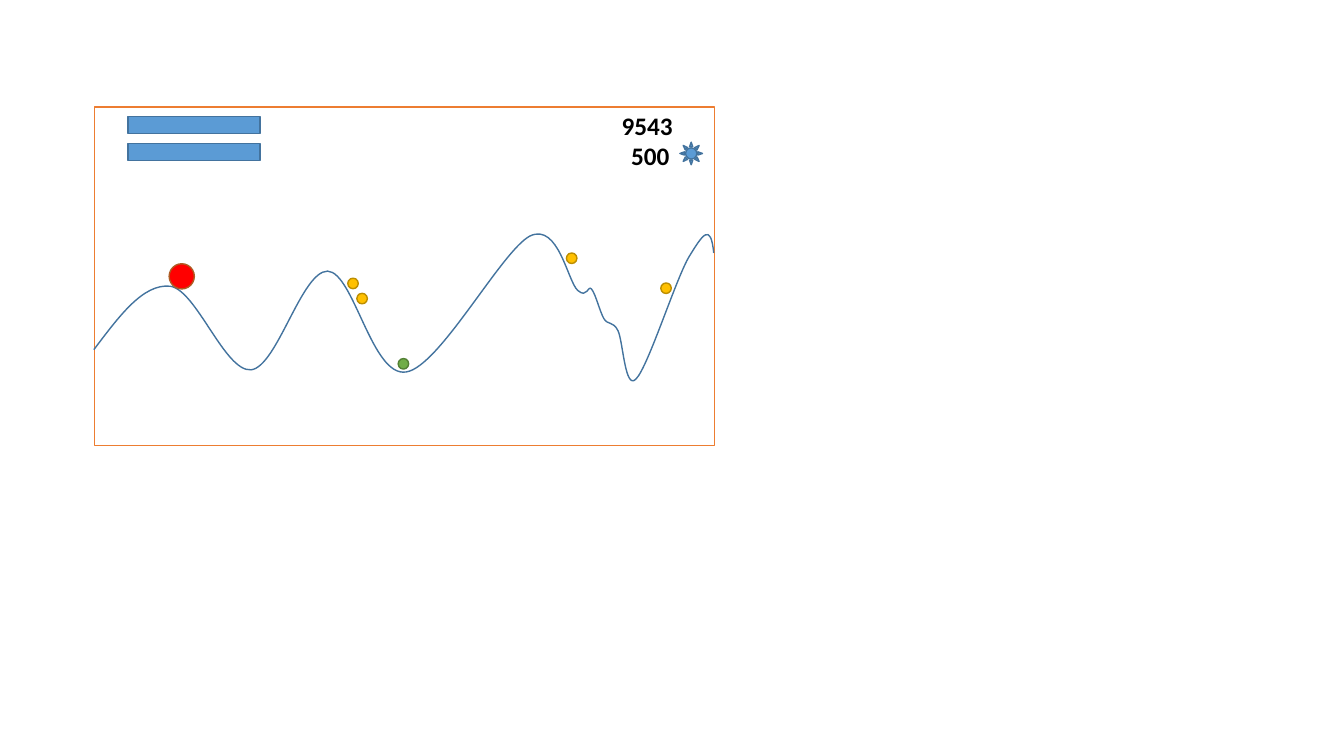
from lxml.etree import SubElement
from pptx import Presentation
from pptx.dml.color import RGBColor
from pptx.enum.shapes import MSO_SHAPE as Preset
from pptx.enum.text import MSO_AUTO_SIZE as AutoSize, PP_ALIGN as Align
from pptx.oxml.ns import qn
from pptx.util import Pt

COLORS = {
    "white": "FFFFFF", "black": "000000", "frame": "ED7D31",
    "blue": "5B9BD5", "blue line": "43739E",
    "red": "FF0000", "red line": "AF5C24",
    "gold": "FFC000", "gold line": "BD8E00",
    "green": "70AD47", "green line": "538035",
}
TRACK_START = (67, 249.8)
TRACK_CURVES = [
    ((85, 226.1), (102.2, 202.3), (121.7, 204.5)),
    ((140.4, 207.4), (160.6, 265.7), (179.3, 264.2)),
    ((198, 262.1), (215.3, 193.7), (234, 193.7)),
    ((252.7, 194.4), (265.7, 270), (290.2, 265.7)),
    ((313.9, 262.1), (358.6, 178.6), (378.7, 168.5)),
    ((398.9, 159.1), (405.4, 200.9), (412.6, 207.4)),
    ((419.8, 213.8), (419.8, 203), (422.6, 206.6)),
    ((425.5, 210.2), (428.4, 222.5), (431.3, 227.5)),
    ((434.2, 232.6), (437.8, 229), (441.4, 236.2)),
    ((445, 243.4), (446.4, 279.4), (454.3, 270.7)),
    ((463, 262.1), (483.1, 198), (492.5, 182.9)),
    ((501.8, 167.8), (507.6, 158.4), (509.8, 180.7)),
]
SCORES = [("500", 306.7, 96.5), ("9543", 308.9, 75.2)]
TOKENS = [
    ("gold", 248.4, 198.7), ("gold", 254.9, 209.5), ("green", 284.4, 256.1),
    ("gold", 404.6, 180.7), ("gold", 472, 202.1),
]


class GameScreen:
    """Draws the elements of the game screen on one slide."""

    def __init__(self, slide, font="Calibri", line_width=1):
        self.slide = slide
        self.font = font
        self.line_width = line_width

    def style(self, shape, fill, line):
        """Set the fill and outline of a shape and drop its shadow."""
        shape.shadow.inherit = False
        if fill:
            shape.fill.solid()
            shape.fill.fore_color.rgb = RGBColor.from_string(COLORS[fill])
        else:
            shape.fill.background()
        shape.line.color.rgb = RGBColor.from_string(COLORS[line])
        shape.line.width = Pt(self.line_width)

    def shape(self, preset, left, top, width, height, fill, line):
        """Add a preset shape."""
        shape = self.slide.shapes.add_shape(
            preset, Pt(left), Pt(top), Pt(width), Pt(height))
        self.style(shape, fill, line)

    def curve(self, start, curves, line):
        """Add an open, unfilled chain of cubic Bezier curves."""
        ends = [(Pt(x), Pt(y)) for x, y in (corners[-1] for corners in curves)]
        builder = self.slide.shapes.build_freeform(Pt(start[0]), Pt(start[1]))
        builder.add_line_segments(ends, close=False)
        shape = builder.convert_to_shape()
        segments = list(shape.element.iter(qn("a:lnTo")))
        for segment, corners in zip(segments, curves):
            bezier = segment.makeelement(qn("a:cubicBezTo"))
            for x, y in corners:
                SubElement(bezier, qn("a:pt"),
                           x=str(Pt(x) - shape.left), y=str(Pt(y) - shape.top))
            segment.getparent().replace(segment, bezier)
        self.style(shape, None, line)

    def score(self, text, left, top):
        """Add a bold, right-aligned number."""
        box = self.slide.shapes.add_textbox(Pt(left), Pt(top), Pt(178.6), Pt(29))
        text_frame = box.text_frame
        text_frame.text = text
        text_frame.word_wrap = True
        text_frame.auto_size = AutoSize.SHAPE_TO_FIT_TEXT
        paragraph = text_frame.paragraphs[0]
        paragraph.alignment = Align.RIGHT
        font = paragraph.runs[0].font
        font.name, font.size, font.bold = self.font, Pt(18), True
        font.color.rgb = RGBColor.from_string(COLORS["black"])


def main():
    """Build the slide and save it."""
    presentation = Presentation()
    presentation.slide_width, presentation.slide_height = Pt(960), Pt(540)
    screen = GameScreen(presentation.slides.add_slide(presentation.slide_layouts[6]))

    screen.shape(Preset.RECTANGLE, 67.7, 76.5, 442.8, 241.9, "white", "frame")
    screen.curve(TRACK_START, TRACK_CURVES, "blue line")
    screen.shape(Preset.OVAL, 120.8, 188.4, 18, 18, "red", "red line")
    screen.shape(Preset.SUN, 485.7, 101.6, 16.1, 16.1, "blue", "blue line")
    for text, left, top in SCORES:
        screen.score(text, left, top)
    for color, left, top in TOKENS:
        screen.shape(Preset.OVAL, left, top, 7.5, 7.5, color, f"{color} line")
    for row in range(2):
        screen.shape(Preset.RECTANGLE, 91.4, 83.1 + row * 19.4, 94.3, 12.2,
                     "blue", "blue line")

    presentation.save("out.pptx")


if __name__ == "__main__":
    main()
